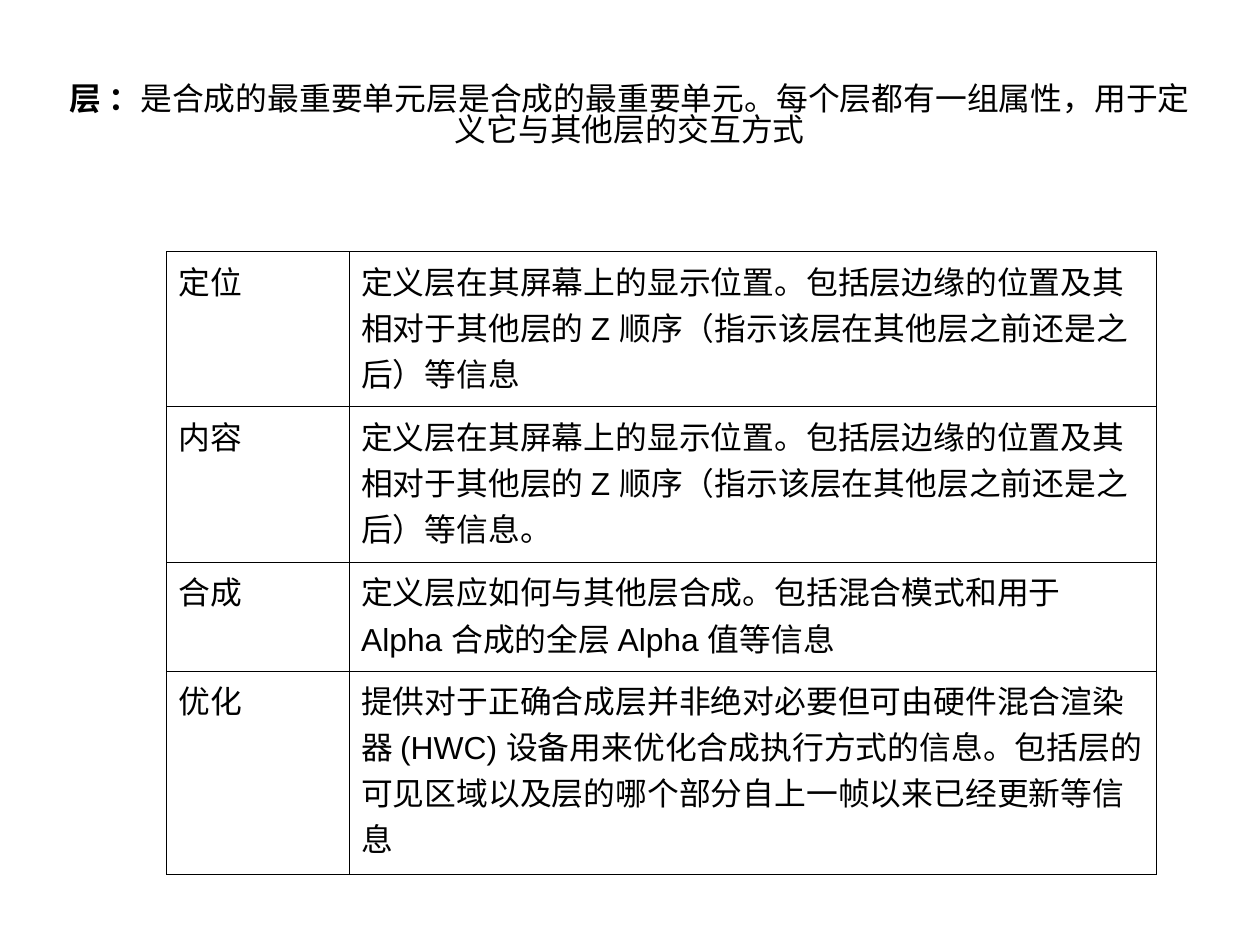
from lxml.etree import SubElement
from pptx import Presentation
from pptx.dml.color import RGBColor
from pptx.enum.text import MSO_ANCHOR, MSO_AUTO_SIZE, PP_ALIGN
from pptx.oxml.ns import qn
from pptx.util import Cm, Inches, Pt

TITLE = [
    ("层 ：", True),
    ("是合成的最重要单元层是合成的最重要单元。每个层都有一组属性，用于定义它与其他层的交互方式", False),
]
LAYER_PROPERTIES = [
    ("定位", "定义层在其屏幕上的显示位置。包括层边缘的位置及其相对于其他层的 Z 顺序（指示该层在其他层之前还是之后）等信息"),
    ("内容", "定义层在其屏幕上的显示位置。包括层边缘的位置及其相对于其他层的 Z 顺序（指示该层在其他层之前还是之后）等信息。"),
    ("合成", "定义层应如何与其他层合成。包括混合模式和用于 Alpha 合成的全层 Alpha 值等信息"),
    ("优化", "提供对于正确合成层并非绝对必要但可由硬件混合渲染器 (HWC) 设备用来优化合成执行方式的信息。"
             "包括层的可见区域以及层的哪个部分自上一帧以来已经更新等信息"),
]
COLUMN_WIDTHS = [1.6, 7.06]
ROW_HEIGHTS = [1.36, 1.36, 0.95, 1.78]


def color(hex_code):
    return RGBColor.from_string(hex_code)


class SlideBuilder:
    font_name = "Arial"
    font_size = 20
    ink = "000000"
    border_width = 0.57

    def __init__(self, page):
        self.page = page

    def add_span(self, para, text, bold=False):
        span = para.add_run()
        span.text = text
        span.font.name = self.font_name
        span.font.size = Pt(self.font_size)
        span.font.bold = bold
        span.font.color.rgb = color(self.ink)

    def add_title(self, spans, left, top, width, height):
        box = self.page.shapes.title
        box.left, box.top = Inches(left), Inches(top)
        box.width, box.height = Inches(width), Inches(height)
        frame = box.text_frame
        frame.word_wrap = True
        frame.auto_size = MSO_AUTO_SIZE.NONE
        frame.vertical_anchor = MSO_ANCHOR.MIDDLE
        frame.margin_left = frame.margin_right = 0
        frame.margin_top = frame.margin_bottom = 0
        para = frame.paragraphs[0]
        para.alignment = PP_ALIGN.CENTER
        para.line_spacing = 0.83
        for text, bold in spans:
            self.add_span(para, text, bold)

    def add_borders(self, cell):
        properties = cell._tc.get_or_add_tcPr()
        for position, side in enumerate(("a:lnL", "a:lnR", "a:lnT", "a:lnB")):
            line = SubElement(properties, qn(side), w=str(Pt(self.border_width)))
            fill = SubElement(line, qn("a:solidFill"))
            SubElement(fill, qn("a:srgbClr"), val=self.ink)
            properties.insert(position, line)

    def add_table(self, rows, left, top, widths, heights):
        frame = self.page.shapes.add_table(
            len(rows), len(widths), Inches(left), Inches(top),
            Inches(sum(widths)), Inches(sum(heights)))
        table = frame.table
        table.first_row = table.horz_banding = False
        for column, width in zip(table.columns, widths):
            column.width = Inches(width)
        for row, height, texts in zip(table.rows, heights, rows):
            row.height = Inches(height)
            for cell, text in zip(row.cells, texts):
                cell.margin_left = cell.margin_right = Inches(0.1)
                cell.margin_top = cell.margin_bottom = Inches(0.05)
                cell.fill.background()
                self.add_borders(cell)
                self.add_span(cell.text_frame.paragraphs[0], text)


def main():
    deck = Presentation()
    deck.slide_width, deck.slide_height = Cm(28), Cm(21)
    page = deck.slides.add_slide(deck.slide_layouts[5])
    builder = SlideBuilder(page)
    builder.add_table(LAYER_PROPERTIES, 1.46, 2.2, COLUMN_WIDTHS, ROW_HEIGHTS)
    builder.add_title(TITLE, 0.55, 0.33, 9.92, 1.38)
    deck.save("out.pptx")


if __name__ == "__main__":
    main()
